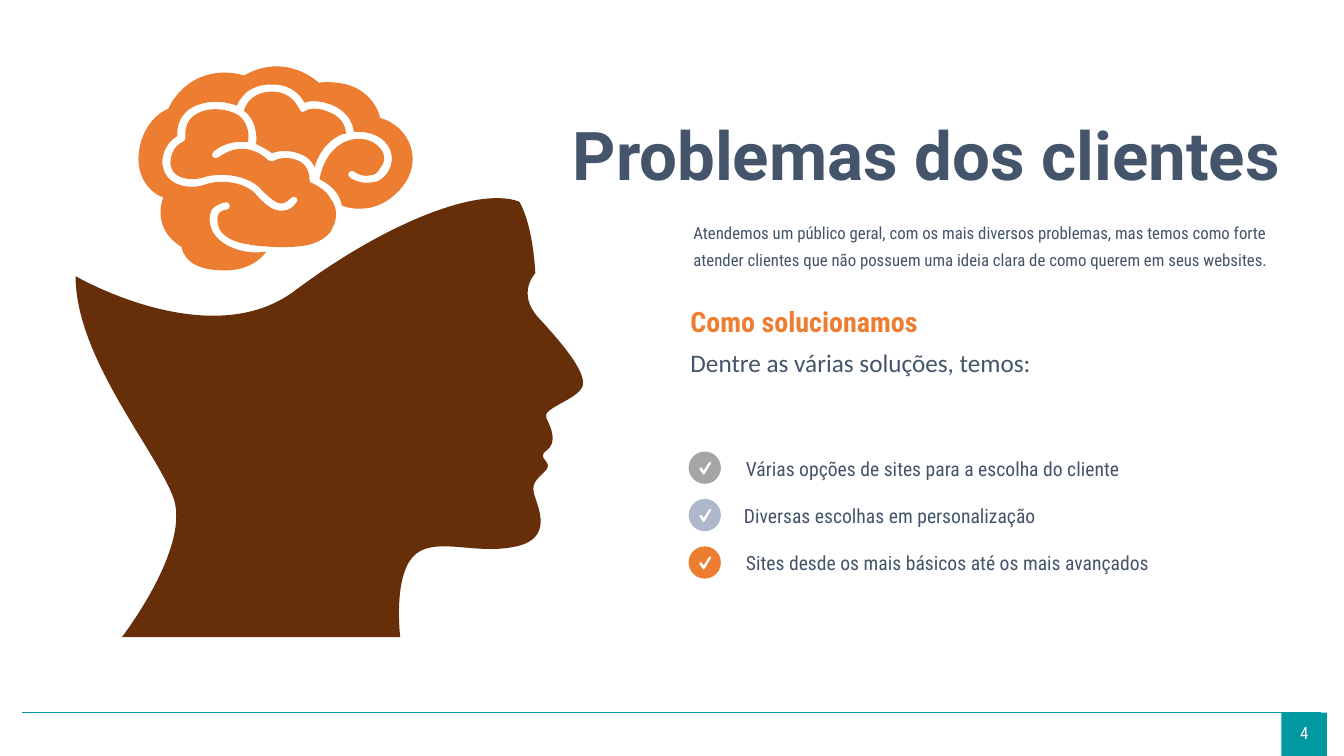
from lxml import etree
from pptx import Presentation
from pptx.dml.color import RGBColor
from pptx.enum.shapes import MSO_CONNECTOR, MSO_SHAPE
from pptx.enum.text import MSO_ANCHOR, PP_ALIGN
from pptx.oxml.ns import qn
from pptx.util import Inches, Pt

COLORS = {"teal": "0098A1", "navy": "44546A", "orange": "ED7D31", "brown": "672F09",
          "gray": "A5A5A5", "blue": "ADB9CA", "white": "FFFFFF"}
CONDENSED = "Roboto Condensed"

# Outlines: a start point, then two control points and an end point per curve.
HEAD = """
5.31,2.71 5.31,2.71 5.12,2.91 5.34,3.15 5.56,3.39 5.85,3.72 5.77,3.85
5.69,3.98 5.37,4.05 5.42,4.15 5.47,4.25 5.53,4.39 5.42,4.47
5.31,4.55 5.5,4.58 5.41,4.67 5.31,4.77 5.26,4.8 5.31,4.94
5.36,5.09 5.47,5.37 5.07,5.43 4.68,5.5 4.28,5.31 4.09,5.53
3.9,5.75 3.97,6.32 3.97,6.32 1.21,6.32 1.21,6.32 1.21,6.32
1.21,6.32 1.92,5.4 1.71,4.91 1.51,4.42 0.75,3.53 0.75,2.74
0.75,2.74 2.09,3.52 2.93,2.88 3.77,2.25 4.72,1.84 5.15,2
5.15,2 5.28,2.19 5.31,2.71"""
BRAIN_CENTER = """
2.98,1.53 2.86,1.48 2.75,1.5 2.7,1.52 2.67,1.5 2.61,1.46 2.54,1.43
2.55,1.34 2.54,1.19 2.42,1.1 2.43,1.04 2.51,0.9 2.72,0.91
2.91,0.92 2.96,1.08 2.97,1.08 2.97,1.09 2.98,1.1 2.99,1.11
3.01,1.11 3.02,1.11 3.03,1.1 3.03,1.1 3.11,1.04 3.28,1.12
3.42,1.18 3.43,1.29 3.43,1.33 3.42,1.33 3.41,1.33 3.4,1.33
3.23,1.4 3.15,1.55 3.12,1.66 3.1,1.61 3.06,1.56 2.98,1.53"""
# The rest of the brain is one outline in four consecutive stretches.
BRAIN_TOP_RIGHT = """
1.39,1.44 1.46,1.15 1.67,1.08 1.67,1.08 1.67,1.08 1.72,0.94 1.89,0.82
2.15,0.65 2.42,0.75 2.42,0.75 2.84,0.51 3.16,0.82 3.16,0.82
3.7,0.77 3.77,1.17 3.77,1.17 4.06,1.25 4.23,1.61 3.95,1.9
3.74,2.12 3.49,2.08 3.39,2.04 3.38,1.96 3.32,1.85 3.17,1.78
3.17,1.77 3.21,1.49 3.44,1.4 3.57,1.35 3.7,1.39 3.76,1.46
3.82,1.52 3.83,1.6 3.77,1.67 3.75,1.71 3.72,1.74 3.67,1.74
3.59,1.76 3.52,1.71 3.51,1.7 3.5,1.69 3.47,1.7 3.46,1.71
3.45,1.73 3.45,1.75 3.47,1.76 3.47,1.77 3.58,1.83 3.69,1.81
3.75,1.81 3.8,1.77 3.84,1.72 3.91,1.61 3.9,1.5 3.82,1.41"""
BRAIN_UPPER_FOLD = """
3.75,1.33 3.62,1.3 3.51,1.31 3.5,1.23 3.46,1.12 3.31,1.05
3.17,0.99 3.07,1 3.02,1.02 2.98,0.94 2.88,0.84 2.72,0.84
2.58,0.83 2.49,0.88 2.44,0.92 2.4,0.96 2.36,1.01 2.35,1.05
2.2,0.99 2.02,1 1.9,1.07 1.8,1.13 1.75,1.23 1.76,1.35
1.71,1.38 1.62,1.45 1.61,1.6 1.61,1.68 1.64,1.75 1.71,1.8
1.8,1.86 1.93,1.87 2.04,1.83 2.21,1.77 2.44,1.82 2.53,1.92
2.6,2 2.68,2.08 2.77,2.09 2.78,2.09 2.79,2.09 2.8,2.09
2.85,2.09 2.9,2.07 2.94,2.01 2.96,2 2.95,1.98 2.94,1.96"""
BRAIN_MIDDLE_FOLD = """
2.92,1.95 2.89,1.95 2.88,1.97 2.85,2 2.82,2.02 2.79,2.02
2.73,2.02 2.65,1.94 2.59,1.88 2.48,1.75 2.21,1.7 2.02,1.76
1.92,1.79 1.82,1.78 1.76,1.74 1.71,1.71 1.69,1.66 1.69,1.61
1.7,1.45 1.81,1.41 1.81,1.41 1.83,1.4 1.84,1.39 1.84,1.37
1.83,1.27 1.86,1.18 1.95,1.13 2.05,1.07 2.2,1.07 2.32,1.12
2.48,1.19 2.47,1.36 2.46,1.41 2.36,1.4 2.24,1.41 2.12,1.5
2.1,1.52 2.1,1.54 2.11,1.56 2.13,1.57 2.15,1.57 2.17,1.56
2.44,1.36 2.65,1.58 2.66,1.59 2.68,1.6 2.7,1.6 2.71,1.6
2.72,1.59 2.82,1.54 2.95,1.59 3.08,1.64 3.07,1.79 3.07,1.79"""
BRAIN_BOTTOM = """
3.07,1.8 3.08,1.82 3.1,1.82 3.21,1.87 3.26,1.93 3.29,1.99
3.3,1.99 3.3,1.99 3.3,2 3.34,2.08 3.34,2.15 3.32,2.21
3.32,2.23 3.31,2.24 3.3,2.25 3.29,2.3 3.26,2.32 3.26,2.32
3.21,2.38 3.13,2.41 3.06,2.43 3.06,2.43 2.86,2.48 2.48,2.43
2.47,2.42 2.45,2.42 2.43,2.42 2.33,2.4 2.23,2.36 2.18,2.28
2.15,2.21 2.15,2.15 2.17,2.12 2.2,2.08 2.25,2.08 2.25,2.08
2.27,2.08 2.28,2.06 2.28,2.04 2.28,2.02 2.26,2 2.23,2.01
2.23,2.01 2.15,2.02 2.1,2.08 2.07,2.14 2.07,2.21 2.11,2.3
2.19,2.43 2.33,2.48 2.46,2.5 2.53,2.51 2.6,2.5 2.64,2.5
2.51,2.67 2.29,2.71 2.07,2.67 1.82,2.63 1.8,2.45 1.8,2.45
1.49,2.26 1.62,1.96 1.62,1.96 1.48,1.91 1.32,1.73 1.39,1.44"""
# Measured from the top left corner of its circle
TICK = """
0.15,0.23 0.14,0.23 0.14,0.23 0.14,0.22 0.11,0.18 0.11,0.18 0.11,0.18
0.1,0.17 0.1,0.17 0.11,0.16 0.11,0.16 0.12,0.16 0.13,0.16
0.15,0.19 0.15,0.19 0.15,0.19 0.2,0.11 0.2,0.11 0.2,0.11
0.21,0.1 0.21,0.1 0.22,0.1 0.22,0.11 0.23,0.11 0.22,0.12
0.16,0.22 0.16,0.22 0.16,0.22 0.16,0.23 0.15,0.23 0.15,0.23"""

prs = Presentation()
prs.slide_width, prs.slide_height = Inches(13.33), Inches(7.5)
s = prs.slides.add_slide(prs.slide_layouts[6])


def add_text(text, x, y, w, h, size, color="navy", font=CONDENSED, bold=False):
    tf = s.shapes.add_textbox(Inches(x), Inches(y), Inches(w), Inches(h)).text_frame
    tf.word_wrap = True
    p = tf.paragraphs[0]
    p.text = text
    f = p.runs[0].font
    f.name, f.size, f.bold = font, Pt(size), bold
    f.color.rgb = RGBColor.from_string(COLORS[color])
    return tf


def add_filled(outline, color, x=0, y=0, w=0, h=0):
    """Add a preset shape, or a closed curve when outline is a string of points."""
    if isinstance(outline, str):
        pairs = [pair.split(",") for pair in outline.split()]
        pts = [(Inches(x + float(px)), Inches(y + float(py))) for px, py in pairs]
        builder = s.shapes.build_freeform(*pts[0])
        builder.add_line_segments(pts[1:], close=True)
        sp = builder.convert_to_shape()
        lines = list(sp.element.iter(qn("a:lnTo")))
        for i in range(0, len(lines), 3):
            curve = etree.Element(qn("a:cubicBezTo"))
            lines[i].addprevious(curve)
            for line in lines[i:i + 3]:
                curve.append(line[0])
                line.getparent().remove(line)
    else:
        sp = s.shapes.add_shape(outline, Inches(x), Inches(y), Inches(w), Inches(h))
    sp.shadow.inherit = False
    sp.fill.solid()
    sp.fill.fore_color.rgb = RGBColor.from_string(COLORS[color])
    sp.line.fill.background()


# Footer
rule = s.shapes.add_connector(MSO_CONNECTOR.STRAIGHT, Inches(0.22), Inches(7.07),
                              Inches(13.1), Inches(7.07))
rule.line.color.rgb = RGBColor.from_string(COLORS["teal"])
rule.line.width = Pt(0.75)
etree.SubElement(rule.element.spPr, qn("a:effectLst"))
add_filled(MSO_SHAPE.RECTANGLE, "teal", 12.71, 7.07, 0.45, 0.43)
number = add_text("4", 12.58, 7.12, 0.71, 0.3, 12, "white")
number.paragraphs[0].alignment = PP_ALIGN.CENTER

# Illustration
add_filled(HEAD, "brown")
add_filled(BRAIN_CENTER, "orange")
add_filled(BRAIN_TOP_RIGHT + BRAIN_UPPER_FOLD + BRAIN_MIDDLE_FOLD + BRAIN_BOTTOM, "orange")

# Title and paragraphs
title = add_text("Problemas dos clientes", 5.55, 1.18, 7.79, 0.69, 48, font="Roboto", bold=True)
title.vertical_anchor = MSO_ANCHOR.MIDDLE
title.margin_left = title.margin_right = Inches(0.13)
title.margin_top = title.margin_bottom = Inches(0.07)
intro = add_text("Atendemos um público geral, com os mais diversos problemas, mas temos como forte "
                 "atender clientes que não possuem uma ideia clara de como querem em seus websites.",
                 6.78, 2.08, 6.1, 0.82, 12)
intro.paragraphs[0].line_spacing = 1.38
add_text("Como solucionamos", 6.75, 2.97, 3.18, 0.44, 20, "orange", bold=True)
add_text("Dentre as várias soluções, temos:", 6.75, 3.4, 5.28, 0.47, 18, font="Calibri")

# Checklist
solutions = [("Várias opções de sites para a escolha do cliente", "gray", 7.3),
             ("Diversas escolhas em personalização", "blue", 7.28),
             ("Sites desde os mais básicos até os mais avançados", "orange", 7.3)]
for i, (text, color, x) in enumerate(solutions):
    y = 4.48 + 0.47 * i
    add_filled(MSO_SHAPE.OVAL, color, 6.83, y, 0.32, 0.32)
    add_filled(TICK, "white", 6.83, y)
    add_text(text, x, y, 4.73, 0.34, 14)

prs.save("out.pptx")
